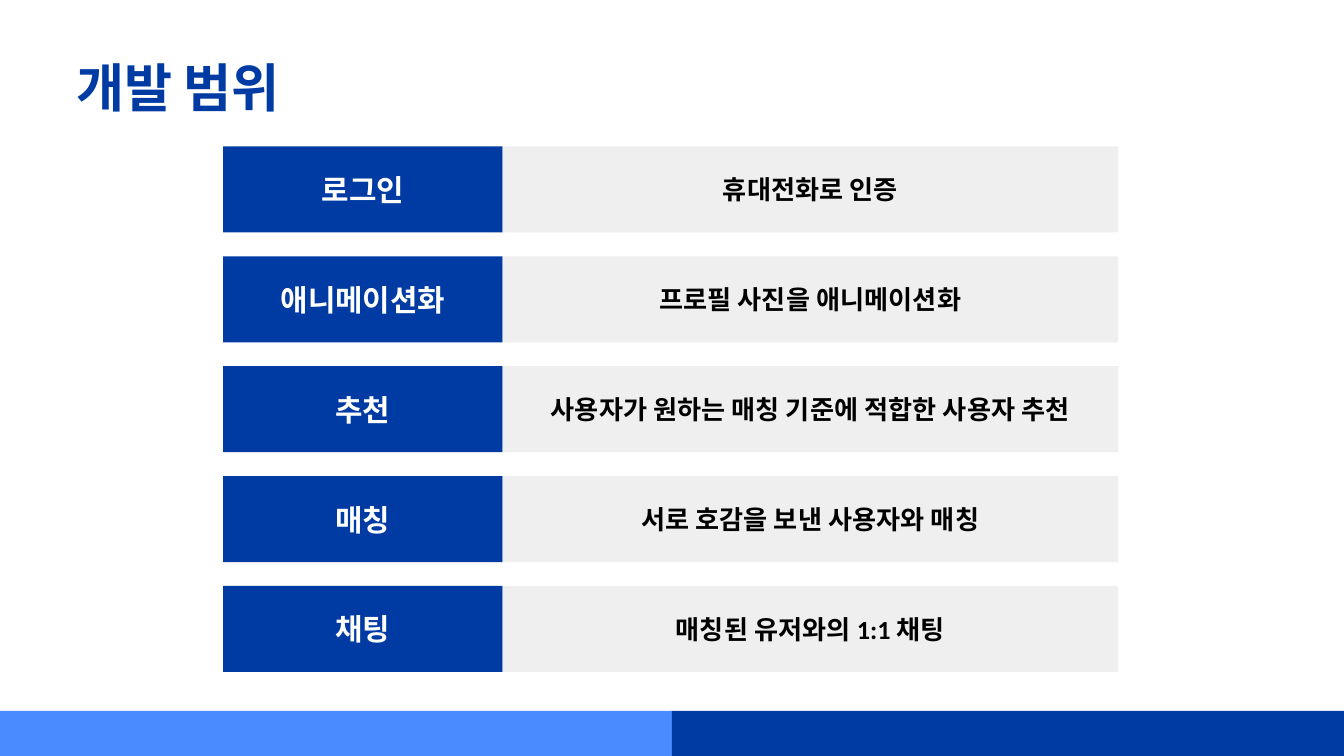
from lxml.etree import SubElement
from pptx import Presentation
from pptx.dml.color import RGBColor
from pptx.enum.shapes import MSO_SHAPE
from pptx.enum.text import MSO_ANCHOR, PP_ALIGN
from pptx.oxml.ns import qn
from pptx.util import Inches, Pt

BLUE, SKY, GRAY = "003BA3", "4A8CFF", "EFEFEF"
WHITE, BLACK = "FFFFFF", "000000"


def add_block(left, top, width, height, fill):
    block = slide.shapes.add_shape(
        MSO_SHAPE.RECTANGLE, Inches(left), Inches(top), Inches(width), Inches(height))
    block.shadow.inherit = False
    block.fill.solid()
    block.fill.fore_color.rgb = RGBColor.from_string(fill)
    block.line.fill.background()
    return block


def write(holder, text, size, color, anchor=MSO_ANCHOR.MIDDLE, wrap=True):
    frame = holder.text_frame
    frame.margin_left = frame.margin_right = Inches(0.1)
    frame.margin_top = frame.margin_bottom = Inches(0.1)
    frame.vertical_anchor = anchor
    frame.word_wrap = wrap
    frame.text = text
    paragraph = frame.paragraphs[0]
    paragraph.alignment = PP_ALIGN.CENTER
    run = paragraph.runs[0]
    run.font.size = Pt(size)
    run.font.bold = True
    run.font.name = "Calibri"
    run.font.color.rgb = RGBColor.from_string(color)
    SubElement(run.font._element, qn("a:ea"), typeface="Calibri")


prs = Presentation()
slide_width, slide_height = 10, 5.625
prs.slide_width, prs.slide_height = Inches(slide_width), Inches(slide_height)
slide = prs.slides.add_slide(prs.slide_layouts[6])

footer_height = 0.335
for half, color in enumerate((SKY, BLUE)):
    add_block(half * slide_width / 2, slide_height - footer_height,
              slide_width / 2, footer_height, color)

features = [
    ("로그인", "휴대전화로 인증"),
    ("애니메이션화", "프로필 사진을 애니메이션화"),
    ("추천", "사용자가 원하는 매칭 기준에 적합한 사용자 추천"),
    ("매칭", "서로 호감을 보낸 사용자와 매칭"),
    ("채팅", "매칭된 유저와의 1:1 채팅"),
]
grid_left, grid_top = 1.66, 1.09
label_width, detail_width = 2.08, 4.58
row_height, row_pitch = 0.64, 0.8175
for row, (feature, detail) in enumerate(features):
    top = grid_top + row * row_pitch
    label = add_block(grid_left, top, label_width, row_height, BLUE)
    write(label, feature, 16, WHITE)
    description = add_block(grid_left + label_width, top, detail_width, row_height, GRAY)
    write(description, detail, 14, BLACK)

title = slide.shapes.add_textbox(Inches(0.39), Inches(0.31), Inches(1.87), Inches(0.67))
write(title, "개발 범위", 28, BLUE, MSO_ANCHOR.TOP, wrap=False)

prs.save("out.pptx")
